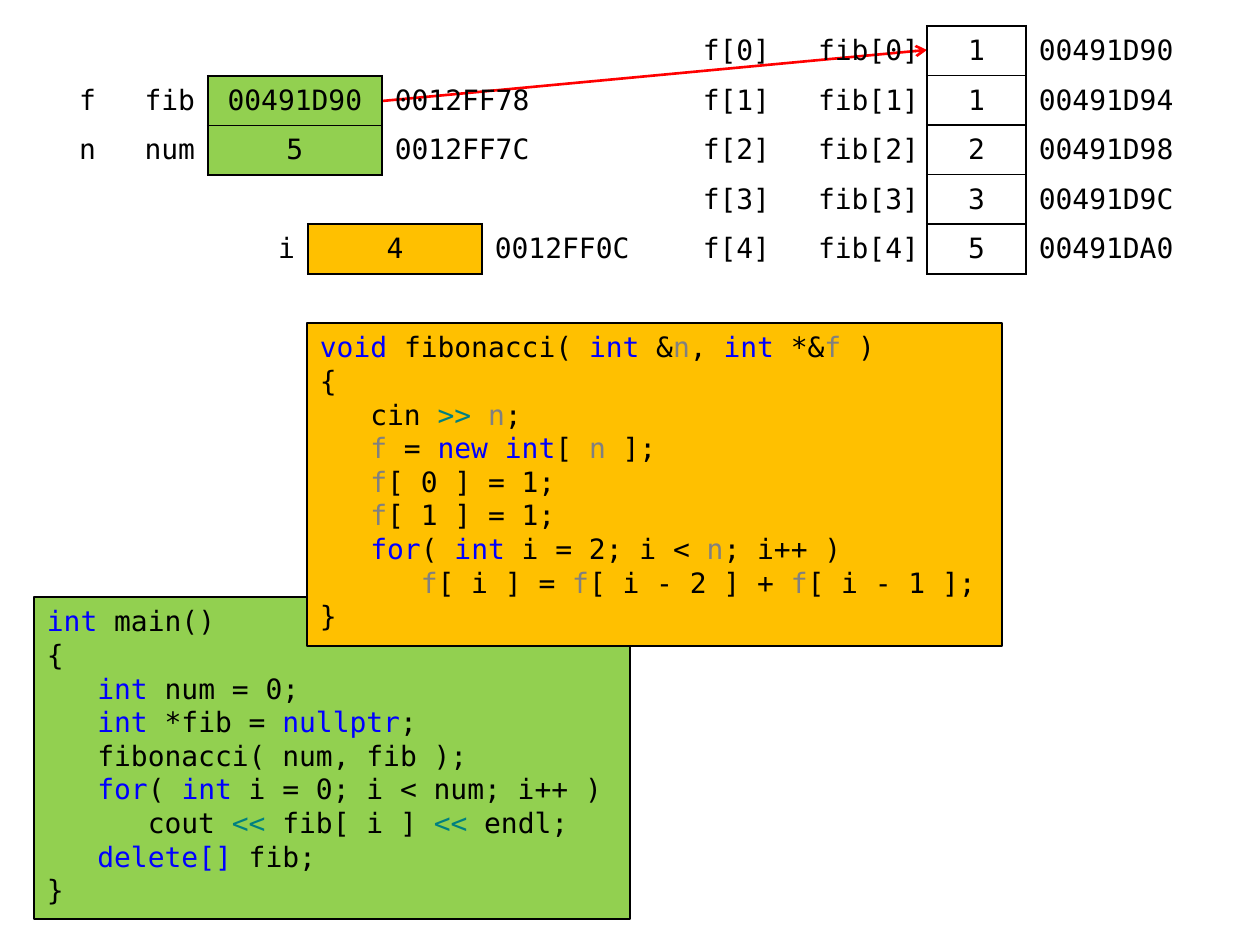
from lxml.etree import SubElement
from pptx import Presentation
from pptx.dml.color import RGBColor
from pptx.enum.shapes import MSO_CONNECTOR, MSO_SHAPE
from pptx.enum.text import MSO_ANCHOR, PP_ALIGN
from pptx.oxml.ns import qn
from pptx.util import Emu, Pt

FONT = "DejaVu Sans Mono"
BLACK, BLUE, TEAL, GRAY, RED = "000000", "0000FF", "008080", "808080", "FF0000"
GREEN, AMBER = "92D050", "FFC000"

# Each code line is a list of runs: plain text is black, a pair carries its colour.
INT, FOR, N, F = ("int", BLUE), ("for", BLUE), ("n", GRAY), ("f", GRAY)
MAIN_CODE = [
    [INT, " main()"],
    ["{"],
    ["   ", ("int ", BLUE), "num = 0;"],
    ["   ", INT, " *fib = ", ("nullptr", BLUE), ";"],
    ["   fibonacci( num, fib );"],
    ["   ", FOR, "( ", INT, " i = 0; i < num; i++ )"],
    ["      cout ", ("<<", TEAL), " fib[ i ] ", ("<<", TEAL), " endl;"],
    ["   ", ("delete[]", BLUE), " fib;"],
    ["}"],
]
FIBONACCI_CODE = [
    [("void ", BLUE), "fibonacci( ", INT, " &", N, ", ", INT, " *&", F, " )"],
    ["{"],
    ["   cin ", (">> ", TEAL), N, ";"],
    ["   ", F, " = ", ("new int", BLUE), "[ ", N, " ];"],
    ["   ", F, "[ 0 ] = 1;"],
    ["   ", F, "[ 1 ] = 1;"],
    ["   ", FOR, "( ", INT, " i = 2; i < ", N, "; i++ )"],
    ["      ", F, "[ i ] = ", F, "[ i - 2 ] + ", F, "[ i - 1 ];"],
    ["}"],
]
# left, top, width, height, fill, code
CODE_BOXES = [
    (34, 597, 596, 322, GREEN, MAIN_CODE),
    (307, 323, 695, 323, AMBER, FIBONACCI_CODE),
]

ARRAY = [("1", "00491D90"), ("1", "00491D94"), ("2", "00491D98"),
         ("3", "00491D9C"), ("5", "00491DA0")]
ARRAY_ROWS = [(f"f[{i}]", f"fib[{i}]", *pair) for i, pair in enumerate(ARRAY)]
MAIN_ROWS = [("f", "fib", "00491D90", "0012FF78"), ("n", "num", "5", "0012FF7C")]
LOCAL_ROWS = [("i", "4", "0012FF0C")]
# left, top, height, column widths, value fill, label right inset, rows
MEMORY_TABLES = [
    (679, 26, 248, (99, 149, 99, 174), None, 8, ARRAY_ROWS),
    (59, 76, 99, (50, 99, 174, 174), GREEN, 13, MAIN_ROWS),
    (258, 224, 50, (50, 174, 174), AMBER, 13, LOCAL_ROWS),
]
POINTER = (382, 101, 927, 50)


def px(n):
    return Emu(round(n * 914400 / 126))


def rgb(color):
    return RGBColor.from_string(color)


def add_run(p, text, color=BLACK):
    r = p.add_run()
    r.text = text
    r.font.name, r.font.size = FONT, Pt(16)
    r.font.color.rgb = rgb(color)


def add_code_box(s, left, top, width, height, fill, code):
    sp = s.shapes.add_shape(MSO_SHAPE.RECTANGLE, px(left), px(top), px(width), px(height))
    sp.shadow.inherit = False
    sp.fill.solid()
    sp.fill.fore_color.rgb = rgb(fill)
    sp.line.color.rgb = rgb(BLACK)
    sp.line.width = Pt(0.75)
    tf = sp.text_frame
    tf.word_wrap = False
    tf.vertical_anchor = MSO_ANCHOR.TOP
    tf.margin_left = tf.margin_right = px(13)
    tf.margin_top = tf.margin_bottom = px(7)
    for i, line in enumerate(code):
        p = tf.add_paragraph() if i else tf.paragraphs[0]
        p.alignment = PP_ALIGN.LEFT
        p.line_spacing = Pt(19.2)
        for run in line:
            add_run(p, *((run,) if isinstance(run, str) else run))


def add_pointer(s, x1, y1, x2, y2):
    c = s.shapes.add_connector(MSO_CONNECTOR.STRAIGHT, px(x1), px(y1), px(x2), px(y2))
    c.line.color.rgb = rgb(RED)
    c.line.width = Pt(1.5)
    SubElement(c.line._get_or_add_ln(), qn("a:tailEnd"), type="arrow")
    SubElement(c._element.spPr, qn("a:effectLst"))


def set_borders(cell, widths):
    """Draw the sides named in widths (L, R, T, B to points) and clear the others."""
    tcPr = cell._tc.get_or_add_tcPr()
    for side in "LRTB":
        ln = SubElement(tcPr, qn(f"a:ln{side}"), w=str(Pt(widths.get(side, 0))))
        if side in widths:
            fill = SubElement(ln, qn("a:solidFill"))
            SubElement(fill, qn("a:srgbClr"), val=BLACK)
        else:
            SubElement(ln, qn("a:noFill"))


def add_memory_table(s, left, top, height, widths, value_fill, label_inset, rows):
    """Place label columns, then a boxed value column, then an address column."""
    table = s.shapes.add_table(len(rows), len(widths), px(left), px(top),
                               px(sum(widths)), px(height)).table
    table.first_row = table.horz_banding = False
    for column, width in zip(table.columns, widths):
        column.width = px(width)
    value_col, last_row = len(widths) - 2, len(rows) - 1
    for i, row in enumerate(rows):
        table.rows[i].height = px(height / len(rows))
        for j, text in enumerate(row):
            cell = table.cell(i, j)
            cell.vertical_anchor = MSO_ANCHOR.MIDDLE
            cell.margin_top = cell.margin_bottom = px(5)
            cell.margin_left, cell.margin_right = px(13), px(10)
            borders = {}
            if j < value_col:
                align = PP_ALIGN.RIGHT
                cell.margin_right = px(label_inset)
                if j == value_col - 1:
                    borders = {"R": 1.5}
            elif j == value_col:
                align = PP_ALIGN.CENTER
                cell.margin_left = px(10)
                borders = {"L": 1.5, "R": 1.5, "T": 1 if i else 1.5,
                           "B": 1 if i < last_row else 1.5}
            else:
                align = PP_ALIGN.LEFT
                borders = {"L": 1.5}
            set_borders(cell, borders)
            if j == value_col and value_fill:
                cell.fill.solid()
                cell.fill.fore_color.rgb = rgb(value_fill)
            else:
                cell.fill.background()
            p = cell.text_frame.paragraphs[0]
            p.alignment = align
            add_run(p, text)


def main():
    prs = Presentation()
    prs.slide_width, prs.slide_height = px(1260), px(945)
    s = prs.slides.add_slide(prs.slide_layouts[6])
    for box in CODE_BOXES:
        add_code_box(s, *box)
    add_pointer(s, *POINTER)
    for memory in MEMORY_TABLES:
        add_memory_table(s, *memory)
    prs.save("out.pptx")


if __name__ == "__main__":
    main()
